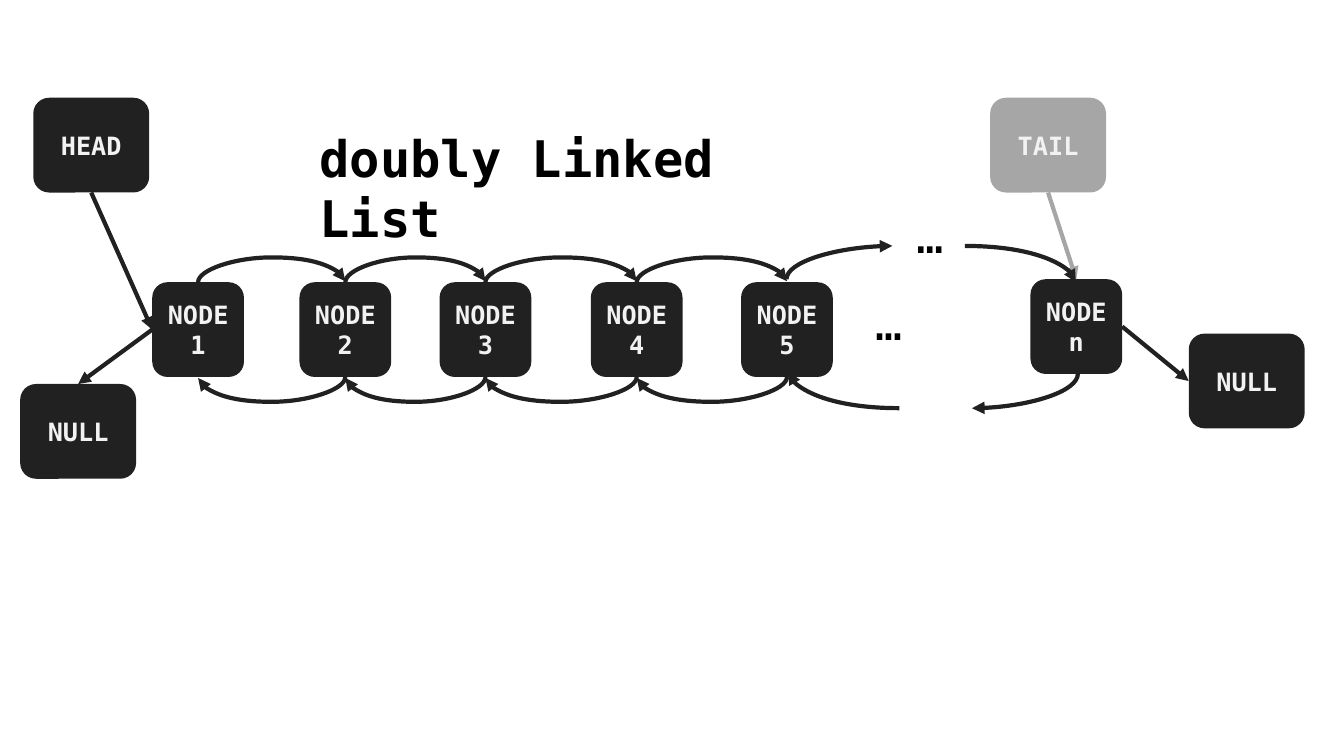
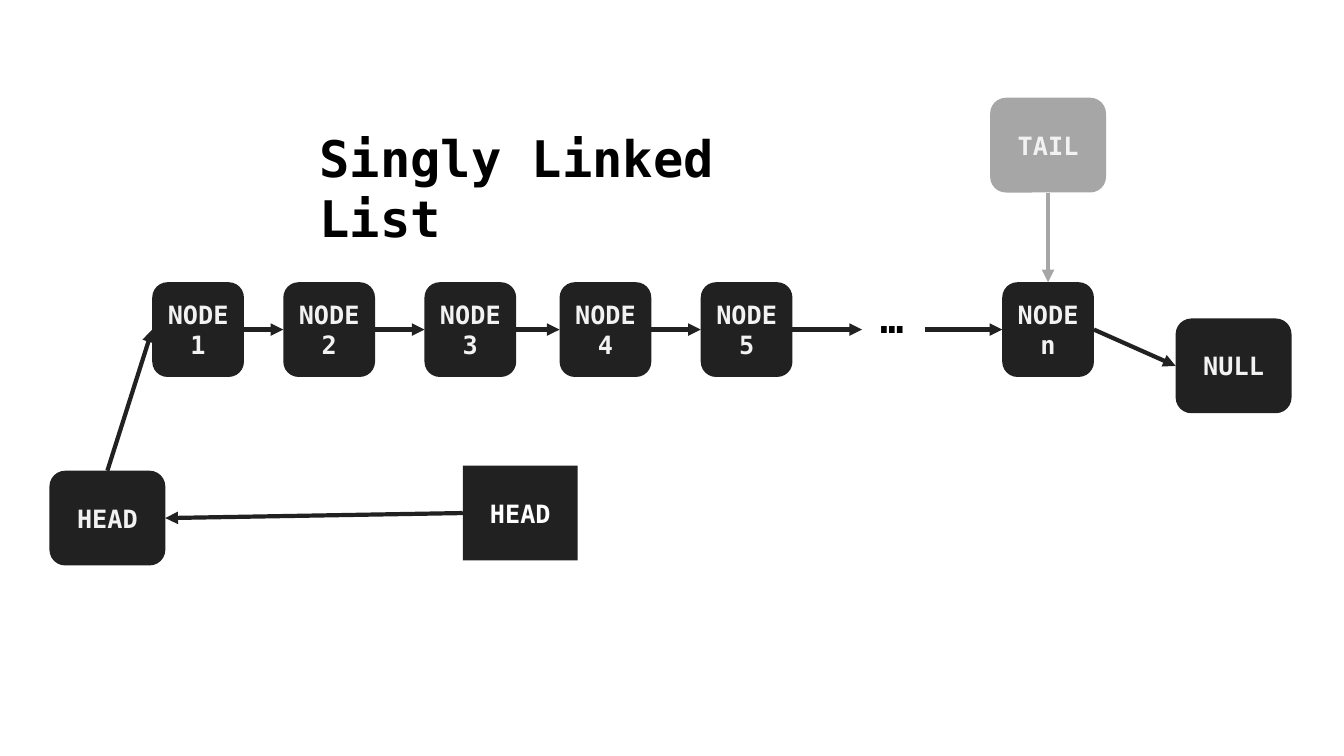
from dataclasses import dataclass
from enum import IntEnum
from itertools import pairwise

from lxml.etree import SubElement
from pptx import Presentation
from pptx.dml.color import RGBColor
from pptx.enum.shapes import MSO_CONNECTOR as Link, MSO_SHAPE as Preset
from pptx.enum.text import MSO_ANCHOR as Anchor, PP_ALIGN as Align
from pptx.oxml.ns import qn
from pptx.shapes.autoshape import Shape
from pptx.shapes.connector import Connector
from pptx.slide import Slide
from pptx.text.text import TextFrame
from pptx.util import Inches, Pt

FONT = "DejaVu Sans Mono"
COLORS = {"dark": "212121", "tail": "A6A6A6", "label": "F2F2F2",
          "white": "FFFFFF", "black": "000000"}
NODE_WIDTH, POINTER_WIDTH, BOX_HEIGHT = 0.91, 1.15, 0.94
NODE_TOP = 2.8
ARC_RISE = 0.25
ARC_STEP = 0.01

Point = tuple[float, float]


class Side(IntEnum):
    """Connection sites of a box."""
    TOP = 0
    LEFT = 1
    BOTTOM = 2
    RIGHT = 3


@dataclass(frozen=True)
class Box:
    label: str
    left: float
    top: float = NODE_TOP
    width: float = POINTER_WIDTH
    fill: str = "dark"
    ink: str = "label"
    preset: Preset = Preset.ROUNDED_RECTANGLE


@dataclass(frozen=True)
class Ellipsis:
    left: float
    top: float
    width: float
    height: float
    size: int
    bold: bool = False


@dataclass(frozen=True)
class Quarter:
    """A quarter-turn arrow, leaving upright or level."""
    start: Point
    end: Point
    upright: bool


TAIL = Box("TAIL", 9.82, 0.97, fill="tail")


# Text and boxes

def write(frame: TextFrame, text: str, size: int, color: str,
          bold: bool = True, align: Align = Align.CENTER) -> None:
    paragraph = frame.paragraphs[0]
    paragraph.alignment = align
    run = paragraph.add_run()
    run.text = text
    run.font.name = FONT
    run.font.size = Pt(size)
    run.font.bold = bold
    run.font.color.rgb = RGBColor.from_string(COLORS[color])


def draw_box(slide: Slide, box: Box) -> Shape:
    shape = slide.shapes.add_shape(box.preset, Inches(box.left), Inches(box.top),
                                   Inches(box.width), Inches(BOX_HEIGHT))
    shape.shadow.inherit = False
    shape.fill.solid()
    shape.fill.fore_color.rgb = RGBColor.from_string(COLORS[box.fill])
    shape.line.fill.background()
    shape.text_frame.word_wrap = True
    shape.text_frame.vertical_anchor = Anchor.MIDDLE
    write(shape.text_frame, box.label, 18, box.ink)
    return shape


def draw_nodes(slide: Slide, lefts: list[float]) -> list[Shape]:
    return [draw_box(slide, Box(f"NODE {number}", left, width=NODE_WIDTH))
            for number, left in enumerate(lefts, start=1)]


def draw_title(slide: Slide, text: str) -> None:
    title = slide.shapes.add_textbox(Inches(3.07), Inches(1.21), Inches(5.19), Inches(0.71))
    title.text_frame.word_wrap = True
    write(title.text_frame, text, 36, "black", align=Align.LEFT)


def draw_ellipsis(shapes, dots: Ellipsis) -> None:
    gap = shapes.add_textbox(Inches(dots.left), Inches(dots.top),
                             Inches(dots.width), Inches(dots.height))
    gap.text_frame.word_wrap = False
    gap.text_frame.vertical_anchor = Anchor.MIDDLE
    write(gap.text_frame, "…", dots.size, "black", dots.bold)


# Arrows

def draw_arrow(shapes, start: Point, end: Point, kind: Link = Link.STRAIGHT,
               color: str = "dark") -> Connector:
    arrow = shapes.add_connector(kind, *(Inches(value) for value in (*start, *end)))
    arrow.line.width = Pt(3)
    arrow.line.color.rgb = RGBColor.from_string(COLORS[color])
    properties = arrow.element.spPr
    SubElement(properties.find(qn("a:ln")), qn("a:tailEnd"), type="triangle")
    SubElement(properties, qn("a:effectLst"))
    return arrow


def join(slide: Slide, source: Shape, source_side: Side, target: Shape,
         target_side: Side, kind: Link = Link.STRAIGHT, color: str = "dark") -> Connector:
    arrow = draw_arrow(slide.shapes, (0, 0), (1, 1), kind, color)
    arrow.begin_connect(source, source_side)
    arrow.end_connect(target, target_side)
    return arrow


def orient(arrow: Connector, start: Point, end: Point, upright: bool) -> None:
    """Lay a curve between two points; curves that climb are flipped both ways."""
    width, height = abs(end[0] - start[0]), abs(end[1] - start[1])
    center_x, center_y = (start[0] + end[0]) / 2, (start[1] + end[1]) / 2
    if upright:
        width, height = height, width
    arrow.left, arrow.top = Inches(center_x - width / 2), Inches(center_y - height / 2)
    arrow.width, arrow.height = Inches(width), Inches(height)
    transform = arrow.element.spPr.find(qn("a:xfrm"))
    transform.set("rot", "5400000" if upright else "0")
    for flip in ("flipH", "flipV"):
        transform.set(flip, "1" if end[1] < start[1] else "0")


def draw_quarter(shapes, turn: Quarter) -> None:
    arrow = draw_arrow(shapes, turn.start, turn.end, Link.CURVE)
    arrow.element.spPr.find(qn("a:prstGeom")).set("prst", "curvedConnector2")
    orient(arrow, turn.start, turn.end, turn.upright)


def draw_arc(slide: Slide, source: Shape, target: Shape, side: Side) -> None:
    """Arch from one node to another, over the top or under the bottom."""
    arrow = join(slide, source, side, target, side, Link.CURVE)
    edge = NODE_TOP if side is Side.TOP else NODE_TOP + BOX_HEIGHT
    step = -ARC_STEP if side is Side.TOP else ARC_STEP
    start_x, end_x = ((node.left + node.width / 2) / Inches(1) for node in (source, target))
    orient(arrow, (start_x, edge), (end_x, edge + step), upright=True)
    guides = arrow.element.spPr.find(qn("a:prstGeom")).find(qn("a:avLst"))
    SubElement(guides, qn("a:gd"), name="adj1",
               fmla=f"val {round(ARC_RISE / ARC_STEP * 100000)}")


# Slides

def build_doubly(slide: Slide) -> None:
    head = draw_box(slide, Box("HEAD", 0.33, 0.97))
    nodes = draw_nodes(slide, [1.51, 2.97, 4.36, 5.86, 7.35])
    last = draw_box(slide, Box("NODE n", 10.22, 2.77, NODE_WIDTH))
    tail = draw_box(slide, TAIL)
    null_after = draw_box(slide, Box("NULL", 11.79, 3.31))
    null_before = draw_box(slide, Box("NULL", 0.2, 3.81))
    draw_title(slide, "doubly Linked List")

    join(slide, head, Side.BOTTOM, nodes[0], Side.LEFT)
    join(slide, tail, Side.BOTTOM, last, Side.TOP, color="tail")
    join(slide, last, Side.RIGHT, null_after, Side.LEFT)
    join(slide, nodes[0], Side.LEFT, null_before, Side.TOP)

    # Skipped nodes, forward and back
    skips = [
        (Quarter((7.8, 2.77), (8.85, 2.44), True),
         Quarter((9.57, 2.44), (10.67, 2.8), False),
         Ellipsis(8.99, 2.02, 0.45, 0.64, 32)),
        (Quarter((10.69, 3.71), (9.64, 4.05), True),
         Quarter((8.92, 4.05), (7.82, 3.69), False),
         Ellipsis(8.58, 2.88, 0.45, 0.64, 32)),
    ]
    for leaving, arriving, dots in skips:
        skip = slide.shapes.add_group_shape()
        draw_quarter(skip.shapes, leaving)
        draw_quarter(skip.shapes, arriving)
        draw_ellipsis(skip.shapes, dots)

    # Next and previous links
    for left_node, right_node in pairwise(nodes):
        draw_arc(slide, left_node, right_node, Side.TOP)
        draw_arc(slide, right_node, left_node, Side.BOTTOM)


def build_singly(slide: Slide) -> None:
    new_head = draw_box(slide, Box("HEAD", 4.59, 4.62, 1.14, ink="white",
                                   preset=Preset.RECTANGLE))
    head = draw_box(slide, Box("HEAD", 0.49, 4.67))
    nodes = draw_nodes(slide, [1.51, 2.81, 4.21, 5.55, 6.95])
    last = draw_box(slide, Box("NODE n", 9.94, width=NODE_WIDTH))
    tail = draw_box(slide, TAIL)
    null = draw_box(slide, Box("NULL", 11.66, 3.16))
    draw_title(slide, "Singly Linked List")

    join(slide, new_head, Side.LEFT, head, Side.RIGHT)
    join(slide, head, Side.TOP, nodes[0], Side.LEFT)
    for node, following in pairwise(nodes):
        join(slide, node, Side.RIGHT, following, Side.LEFT)
    join(slide, tail, Side.BOTTOM, last, Side.TOP, color="tail")
    join(slide, last, Side.RIGHT, null, Side.LEFT)

    # Skipped nodes
    middle = NODE_TOP + BOX_HEIGHT / 2
    for start, end in ((7.86, 8.55), (9.17, 9.94)):
        draw_arrow(slide.shapes, (start, middle), (end, middle))
    draw_ellipsis(slide.shapes, Ellipsis(8.63, 2.87, 0.42, 0.57, 28, bold=True))


def main() -> None:
    deck = Presentation()
    deck.slide_width, deck.slide_height = Inches(13.33), Inches(7.5)
    blank = deck.slide_layouts[6]
    for build in (build_doubly, build_singly):
        build(deck.slides.add_slide(blank))
    deck.save("out.pptx")


if __name__ == "__main__":
    main()
